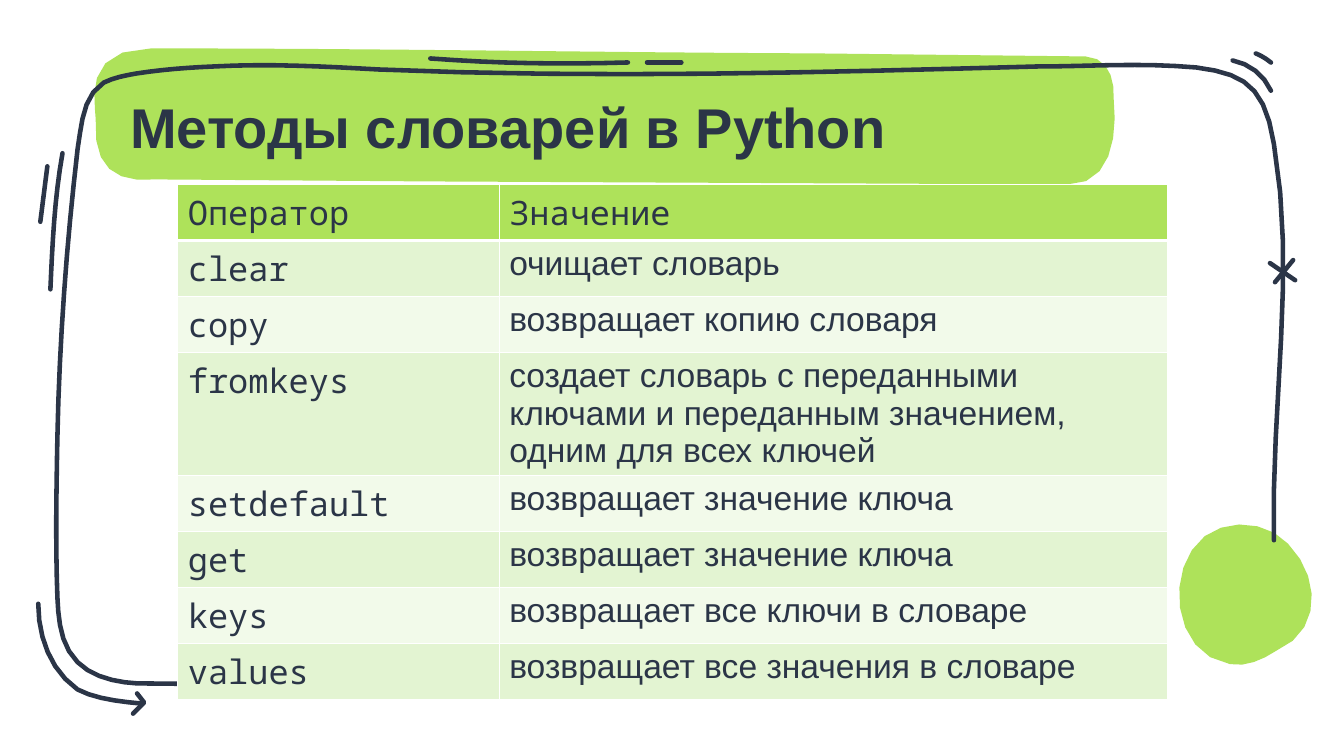
from dataclasses import dataclass
from math import dist

from lxml import etree
from pptx import Presentation
from pptx.dml.color import RGBColor
from pptx.enum.shapes import MSO_CONNECTOR
from pptx.enum.text import MSO_ANCHOR, MSO_AUTO_SIZE, PP_ALIGN
from pptx.oxml.ns import qn
from pptx.util import Cm, Pt

LEFT = PP_ALIGN.LEFT
MIDDLE = MSO_ANCHOR.MIDDLE
NO_AUTOFIT = MSO_AUTO_SIZE.NONE
STRAIGHT = MSO_CONNECTOR.STRAIGHT
TITLE_ONLY = 5


@dataclass(frozen=True)
class Theme:
    green: RGBColor = RGBColor.from_string("AEE25A")
    ink: RGBColor = RGBColor.from_string("2B3547")
    band_dark: RGBColor = RGBColor.from_string("E3F4D2")
    band_light: RGBColor = RGBColor.from_string("F2FAEA")
    border: RGBColor = RGBColor.from_string("FFFFFF")
    text_font: str = "Arial"
    code_font: str = "Noto Sans Mono"
    title_size: Pt = Pt(40)
    table_size: Pt = Pt(24)
    stroke: Pt = Pt(3.25)


theme = Theme()

# Outlines in inches: a start point, then lines (2 numbers) and Bézier curves (6 numbers)
INCH = Cm(2.54)

CIRCLE = (
    "12.89 5.52; 12.73 5.21 12.24 5.07 11.95 5.34; 11.62 5.63 11.55 6.32 12.03 6.53;"
    "12.18 6.6 12.35 6.57 12.5 6.52; 13 6.45 13.12 5.92 12.89 5.52"
)
TITLE_BLOB = (
    "11.05 0.98; 11.06 0.77 10.99 0.57 10.77 0.56; 8.11 0.53; 5.8 0.52 3.8 0.48 1.5 0.48;"
    "0.8 0.48 0.95 1.03 0.95 1.18; 0.92 1.66 1.14 1.82 1.55 1.78;"
    "4.21 1.8; 10.59 1.83; 11.02 1.84 11.09 1.36 11.05 0.98"
)
FRAME = (
    "12.64 5.36; 12.61 3.98 12.86 2.7 12.64 1.43; 12.55 0.85 12.34 0.73 11.87 0.67;"
    "11.3 0.62 10.83 0.66 10.29 0.66; 8.11 0.72 5.94 0.78 3.76 0.69; 3.22 0.66 2.67 0.63 2.12 0.66;"
    "1.87 0.67 1.61 0.69 1.35 0.73; 1.24 0.75 1.13 0.77 1.03 0.82; 0.82 0.95 0.81 1.24 0.77 1.48;"
    "0.66 2.43 0.59 3.38 0.57 4.33; 0.56 4.86 0.55 5.39 0.57 5.93; 0.58 6.15 0.6 6.4 0.77 6.57;"
    "0.92 6.72 1.16 6.77 1.36 6.78; 11.18 6.87"
)
SQUIGGLE = (
    "6.81 6.82; 6.87 6.68 7.02 6.6 7.05 6.75; 7.06 6.83 7.07 6.91 7.14 6.92;"
    "7.27 6.92 7.24 6.68 7.38 6.66; 7.49 6.66 7.46 6.93 7.56 6.92; 7.66 6.96 7.71 6.77 7.76 6.69"
)
LEFT_STROKE = "0.62 1.52; 0.54 1.97 0.52 2.42 0.5 2.87"
TOP_STROKE = "4.27 0.58; 4.92 0.63 5.58 0.64 6.23 0.62"
CORNER_STROKE_LONG = "12.23 0.6; 12.39 0.63 12.54 0.74 12.61 0.9"
CORNER_STROKE_SHORT = "12.46 0.53; 12.51 0.55 12.56 0.58 12.61 0.62"
ARROW_SHAFT = "0.38 5.99; 0.38 6.32 0.5 6.65 0.77 6.84; 0.94 6.93 1.18 6.96 1.41 6.98"
ARROW_HEAD = "1.36 6.88; 1.43 6.97; 1.32 7.08"
CURVED_STROKES = (
    FRAME, SQUIGGLE, LEFT_STROKE, TOP_STROKE,
    CORNER_STROKE_LONG, CORNER_STROKE_SHORT, ARROW_SHAFT, ARROW_HEAD,
)
STRAIGHT_STROKES = (
    (0.47, 1.65, 0.4, 2.2),  # left
    (6.42, 0.62, 6.76, 0.62),  # top
    (12.6, 2.61, 12.85, 2.78),  # cross
    (12.83, 2.58, 12.65, 2.8),
)


def draw_outline(shapes, outline, close):
    start, *segments = [[float(n) * INCH for n in part.split()] for part in outline.split(";")]
    points = [tuple(start)]
    for segment in segments:
        if len(segment) == 2:
            points.append(tuple(segment))
            continue
        (x0, y0), (x1, y1, x2, y2, x3, y3) = points[-1], segment
        steps = min(8, 3 + int(4 * dist((x0, y0), (x3, y3)) / INCH))
        for step in range(1, steps + 1):
            t = step / steps
            a, b, c, d = (1 - t) ** 3, 3 * t * (1 - t) ** 2, 3 * t**2 * (1 - t), t**3
            points.append((a * x0 + b * x1 + c * x2 + d * x3, a * y0 + b * y1 + c * y2 + d * y3))
    builder = shapes.build_freeform(*points[0])
    builder.add_line_segments(points[1:], close=close)
    shape = builder.convert_to_shape()
    shape.shadow.inherit = False
    return shape


def set_borders(cell, bottom_width):
    properties = cell._tc.get_or_add_tcPr()
    widths = {"a:lnL": 1, "a:lnR": 1, "a:lnT": 1, "a:lnB": bottom_width}
    for index, (tag, width) in enumerate(widths.items()):
        line = etree.Element(qn(tag), w=str(Pt(width)))
        fill = etree.SubElement(line, qn("a:solidFill"))
        etree.SubElement(fill, qn("a:srgbClr"), val=str(theme.border))
        properties.insert(index, line)


presentation = Presentation()
presentation.slide_width = Cm(33.87)
presentation.slide_height = Cm(19.05)
slide = presentation.slides.add_slide(presentation.slide_layouts[TITLE_ONLY])

# Green blobs
for outline, rotation in ((CIRCLE, 345.3), (TITLE_BLOB, 0)):
    blob = draw_outline(slide.shapes, outline, True)
    blob.rotation = rotation
    blob.fill.solid()
    blob.fill.fore_color.rgb = theme.green
    blob.line.fill.background()

# Hand-drawn strokes
strokes = []
for outline in CURVED_STROKES:
    stroke = draw_outline(slide.shapes, outline, False)
    stroke.fill.background()
    strokes.append(stroke)
for ends in STRAIGHT_STROKES:
    stroke = slide.shapes.add_connector(STRAIGHT, *(Cm(2.54 * value) for value in ends))
    etree.SubElement(stroke._element.spPr, qn("a:effectLst"))
    strokes.append(stroke)
for stroke in strokes:
    stroke.line.color.rgb = theme.ink
    stroke.line.width = theme.stroke
    line = stroke._element.spPr.find(qn("a:ln"))
    line.set("cap", "rnd")
    etree.SubElement(line, qn("a:round"))
    # The effect list has to follow the line
    line.addnext(stroke._element.spPr.find(qn("a:effectLst")))

# Title, brought in front of the decoration
title = slide.shapes.title
slide.shapes._spTree.append(title._element)
title.left, title.top, title.width, title.height = Cm(3.28), Cm(2.54), Cm(23.8), Cm(1.47)
frame = title.text_frame
frame.text = "Методы словарей в Python"
frame.auto_size = NO_AUTOFIT
frame.vertical_anchor = MIDDLE
frame.margin_left = frame.margin_top = frame.margin_right = frame.margin_bottom = 0
paragraph = frame.paragraphs[0]
paragraph.alignment = LEFT
paragraph.line_spacing = 0.9
paragraph.font.name = theme.text_font
paragraph.font.size = theme.title_size
paragraph.font.bold = True
paragraph.font.color.rgb = theme.ink

# Table of methods
ROWS = (
    ("Оператор", "Значение"),
    ("clear", "очищает словарь"),
    ("copy", "возвращает копию словаря"),
    ("fromkeys", "создает словарь с переданными ключами и переданным значением, одним для всех ключей"),
    ("setdefault", "возвращает значение ключа"),
    ("get", "возвращает значение ключа"),
    ("keys", "возвращает все ключи в словаре"),
    ("values", "возвращает все значения в словаре"),
)
ROW_HEIGHT, TALL_ROW_HEIGHT = Cm(1.41), Cm(3.09)
table_height = ROW_HEIGHT * (len(ROWS) - 1) + TALL_ROW_HEIGHT
table = slide.shapes.add_table(len(ROWS), 2, Cm(4.48), Cm(4.65), Cm(24.94), table_height).table
table.horz_banding = False
table.columns[0].width, table.columns[1].width = Cm(8.1), Cm(16.84)
for row, texts in enumerate(ROWS):
    is_header = row == 0
    table.rows[row].height = TALL_ROW_HEIGHT if texts[0] == "fromkeys" else ROW_HEIGHT
    fill_color = theme.green if is_header else theme.band_dark if row % 2 else theme.band_light
    for column, text in enumerate(texts):
        cell = table.cell(row, column)
        cell.text = text
        cell.fill.solid()
        cell.fill.fore_color.rgb = fill_color
        set_borders(cell, 3 if is_header else 1)
        font = cell.text_frame.paragraphs[0].font
        font.name = theme.code_font if is_header or column == 0 else theme.text_font
        font.size = theme.table_size
        font.bold = False
        font.color.rgb = theme.ink

presentation.save("out.pptx")
